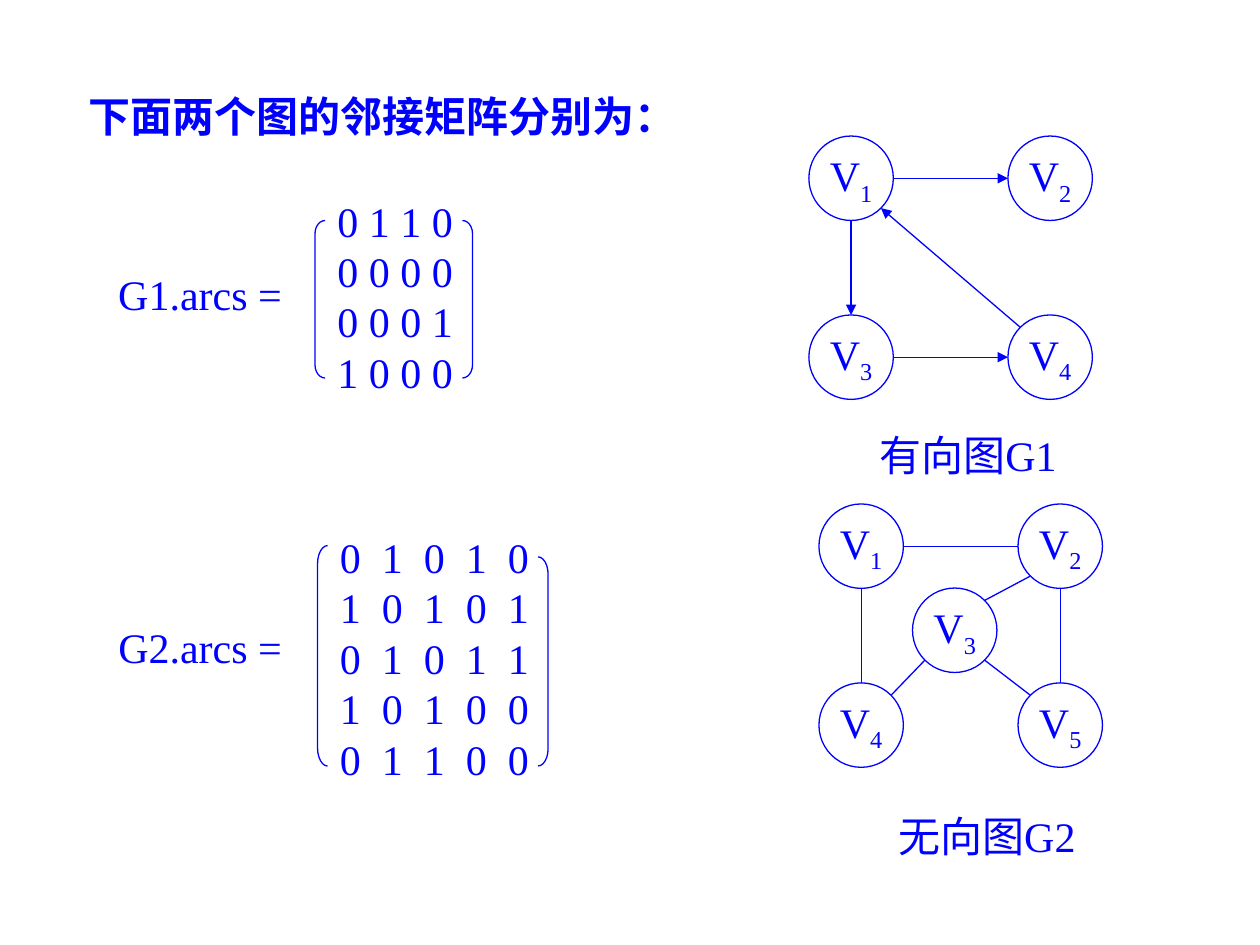
from math import hypot

from lxml.etree import SubElement
from pptx import Presentation
from pptx.dml.color import RGBColor
from pptx.enum.shapes import MSO_CONNECTOR, MSO_SHAPE
from pptx.enum.text import MSO_ANCHOR, MSO_AUTO_SIZE, PP_ALIGN
from pptx.oxml.ns import qn
from pptx.util import Inches, Pt

BLUE = "0000FF"
FONT = "Times New Roman"
DIAMETER = 0.67
COLUMN, ROW = 1.58, 1.42
LINE_PITCH = 28.8
BRACKET_WIDTH = 0.08


def color(hex_string):
    return RGBColor.from_string(hex_string)


def inches(*lengths):
    return [Inches(length) for length in lengths]


def write(shape, lines, subscript="", bold=False, align=PP_ALIGN.LEFT,
          anchor=MSO_ANCHOR.TOP, pitch=None):
    """Fill a shape with one paragraph per line and an optional subscript."""
    frame = shape.text_frame
    frame.word_wrap = False
    frame.auto_size = MSO_AUTO_SIZE.NONE
    frame.vertical_anchor = anchor
    frame.text = "\n".join(lines)
    if subscript:
        index = frame.paragraphs[-1].add_run()
        index.text = subscript
        index._r.get_or_add_rPr().set("baseline", "-25000")
    for paragraph in frame.paragraphs:
        paragraph.alignment = align
        if pitch:
            paragraph.line_spacing = Pt(pitch)
        for run in paragraph.runs:
            run.font.size = Pt(24)
            run.font.name = FONT
            run.font.bold = bold
            run.font.color.rgb = color(BLUE)


def outline(shape):
    shape.line.color.rgb = color(BLUE)
    shape.line.width = Pt(0.75)


def add_label(slide, left, top, width, *lines):
    height = 0.1 + len(lines) * LINE_PITCH / 72
    box = slide.shapes.add_textbox(*inches(left, top, width, height))
    write(box, lines, pitch=LINE_PITCH)


def add_outline_shape(slide, preset, *bounds):
    shape = slide.shapes.add_shape(preset, *inches(*bounds))
    shape.shadow.inherit = False
    shape.fill.background()
    outline(shape)
    return shape


def add_bracket(slide, preset, left, top, bottom):
    height = bottom - top
    bracket = add_outline_shape(slide, preset, left, top, BRACKET_WIDTH, height)
    bracket.adjustments[0] = height / 12 / BRACKET_WIDTH


def add_edge(slide, start, end, directed):
    """Join two node centres, leaving each circle at its nearest eighth."""
    step = [(b > a) - (b < a) for a, b in zip(start, end)]
    reach = [DIAMETER / 2 * s / hypot(*step) for s in step]
    begin = [a + r for a, r in zip(start, reach)]
    finish = [b - r for b, r in zip(end, reach)]
    edge = slide.shapes.add_connector(
        MSO_CONNECTOR.STRAIGHT, *inches(*begin, *finish))
    outline(edge)
    if directed:
        SubElement(edge.line._get_or_add_ln(), qn("a:tailEnd"), type="triangle")
    SubElement(edge._element.spPr, qn("a:effectLst"))


def add_graph(slide, left, top, cells, edges, directed=False):
    """Draw nodes at (column, row) cells, numbered from 1, and their edges."""
    centres = {}
    for number, (column, row) in enumerate(cells, 1):
        x, y = left + column * COLUMN, top + row * ROW
        centres[number] = (x + DIAMETER / 2, y + DIAMETER / 2)
        node = add_outline_shape(
            slide, MSO_SHAPE.OVAL, x, y, DIAMETER, DIAMETER)
        write(node, ["V"], subscript=str(number), align=PP_ALIGN.CENTER,
              anchor=MSO_ANCHOR.MIDDLE)
    for start, end in edges:
        add_edge(slide, centres[start], centres[end], directed)


def add_title(slide, text):
    title = slide.shapes.title
    title.left, title.top, title.width, title.height = inches(0.6, 0.67, 4.86, 0.5)
    write(title, [text], bold=True, pitch=LINE_PITCH)


def main():
    deck = Presentation()
    deck.slide_width, deck.slide_height = inches(10, 7.5)
    slide = deck.slides.add_slide(deck.slide_layouts[5])
    add_title(slide, "下面两个图的邻接矩阵分别为：")

    add_label(slide, 0.84, 2.08, 1.5, "G1.arcs =")
    add_label(slide, 2.58, 1.5, 1.2, "0 1 1 0", "0 0 0 0", "0 0 0 1", "1 0 0 0")
    add_bracket(slide, MSO_SHAPE.LEFT_BRACKET, 2.5, 1.75, 3)
    add_bracket(slide, MSO_SHAPE.RIGHT_BRACKET, 3.67, 1.75, 3)
    add_graph(slide, 6.42, 1.08, [(0, 0), (1, 0), (0, 1), (1, 1)],
              [(1, 2), (1, 3), (3, 4), (4, 1)], directed=True)
    add_label(slide, 6.88, 3.36, 1.69, "有向图G1")

    add_label(slide, 0.84, 4.88, 1.58, "G2.arcs =")
    add_label(slide, 2.6, 4.17, 1.7, "0  1  0  1  0", "1  0  1  0  1",
              "0  1  0  1  1", "1  0  1  0  0", "0  1  1  0  0")
    add_bracket(slide, MSO_SHAPE.LEFT_BRACKET, 2.52, 4.33, 6.08)
    add_bracket(slide, MSO_SHAPE.RIGHT_BRACKET, 4.27, 4.42, 6.08)
    add_graph(slide, 6.5, 4, [(0, 0), (1, 0), (0.47, 0.47), (0, 1), (1, 1)],
              [(1, 2), (1, 4), (2, 5), (3, 5), (2, 3), (3, 4)])
    add_label(slide, 7.03, 6.38, 1.69, "无向图G2")
    deck.save("out.pptx")


if __name__ == "__main__":
    main()
